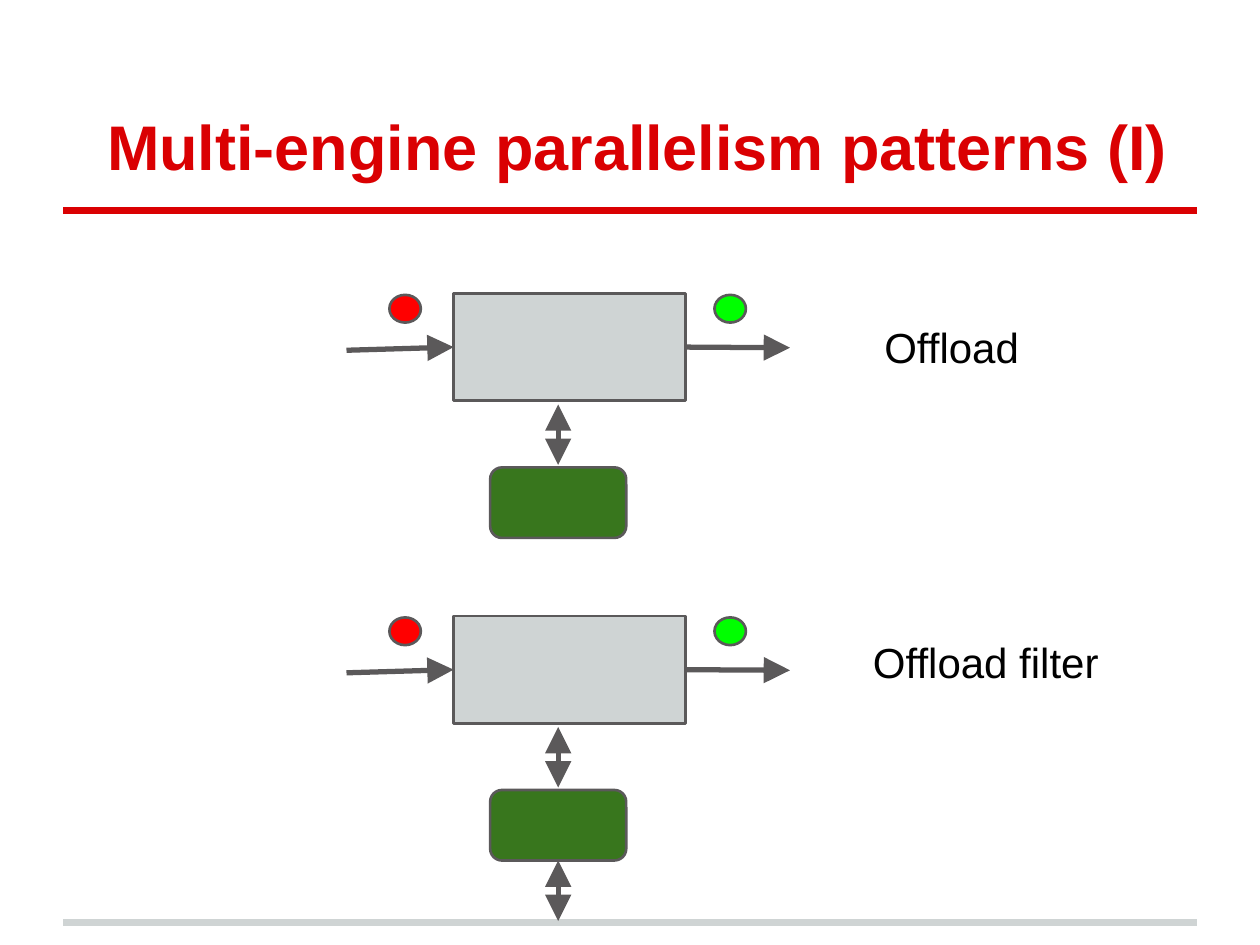
from lxml.etree import SubElement
from pptx import Presentation
from pptx.dml.color import RGBColor
from pptx.enum.shapes import MSO_CONNECTOR, MSO_SHAPE
from pptx.enum.text import MSO_ANCHOR, PP_ALIGN
from pptx.oxml.ns import qn
from pptx.util import Inches, Pt

COLORS = {
    "title": "DA0002",
    "engine": "CFD4D4",
    "outline": "5B595A",
    "input": "FF0000",
    "output": "00FF00",
    "accelerator": "38761D",
    "text": "000000",
}


def color(name):
    """Return the named palette colour."""
    return RGBColor.from_string(COLORS[name])


def format_text(paragraph, size, color_name, bold=False):
    """Format every run of a paragraph."""
    for run in paragraph.runs:
        run.font.name = "Arial"
        run.font.size = Pt(size)
        run.font.bold = bold
        run.font.color.rgb = color(color_name)


def add_block(slide, kind, left, top, width, height, fill):
    """Add an outlined shape with a flat fill."""
    shape = slide.shapes.add_shape(
        kind, Inches(left), Inches(top), Inches(width), Inches(height))
    shape.shadow.inherit = False
    shape.fill.solid()
    shape.fill.fore_color.rgb = color(fill)
    shape.line.color.rgb = color("outline")
    shape.line.width = Pt(1.5)
    return shape


def add_line(slide, start, end, color_name, width, arrowheads=()):
    """Add a straight line with large triangles at the chosen ends."""
    connector = slide.shapes.add_connector(
        MSO_CONNECTOR.STRAIGHT, *(Inches(value) for value in (*start, *end)))
    connector.line.color.rgb = color(color_name)
    connector.line.width = Pt(width)
    line = connector.line._get_or_add_ln()
    for arrowhead in arrowheads:
        SubElement(line, qn(f"a:{arrowhead}"), type="triangle", w="lg", len="lg")
    SubElement(connector._element.spPr, qn("a:effectLst"))
    return connector


def add_title(slide, left, top, width, height, text):
    """Place the title in its box."""
    title = slide.shapes.title
    title.left, title.top = Inches(left), Inches(top)
    title.width, title.height = Inches(width), Inches(height)
    frame = title.text_frame
    frame.text = text
    frame.word_wrap = True
    frame.vertical_anchor = MSO_ANCHOR.BOTTOM
    frame.margin_left = frame.margin_right = Inches(0.1)
    frame.margin_top = frame.margin_bottom = Inches(0.1)
    paragraph = frame.paragraphs[0]
    paragraph.alignment = PP_ALIGN.LEFT
    properties = paragraph._p.get_or_add_pPr()
    properties.set("marL", "0")
    properties.set("indent", str(Inches(0.25)))
    format_text(paragraph, 36, "title", bold=True)


def add_label(slide, left, top, text):
    """Add the name of a pattern."""
    label = slide.shapes.add_textbox(
        Inches(left), Inches(top), Inches(2.25), Inches(0.5))
    label.text_frame.word_wrap = True
    label.text_frame.text = text
    format_text(label.text_frame.paragraphs[0], 24, "text")


def add_pattern(slide, left, top, filtered=False):
    """Draw an engine with its accelerator, optionally with a further link below."""
    one_way, two_way = ("tailEnd",), ("headEnd", "tailEnd")
    middle = top + 0.43
    engine = add_block(
        slide, MSO_SHAPE.RECTANGLE, left + 0.85, top, 1.84, 0.85, "engine")
    inflow = add_line(slide, (left, top + 0.45), (left + 0.85, middle),
                      "outline", 3, one_way)
    inflow.end_connect(engine, 1)
    outflow = add_line(slide, (left + 2.69, middle), (left + 3.52, middle),
                       "outline", 3, one_way)
    outflow.begin_connect(engine, 3)
    for offset, fill in ((0.34, "input"), (2.92, "output")):
        add_block(slide, MSO_SHAPE.OVAL, left + offset, top + 0.01, 0.25, 0.22, fill)
    accelerator = add_block(slide, MSO_SHAPE.ROUNDED_RECTANGLE,
                            left + 1.14, top + 1.38, 1.08, 0.56, "accelerator")
    center = left + 1.68
    add_line(slide, (center, top + 0.88), (center, top + 1.36), "outline", 3, two_way)
    if filtered:
        link = add_line(slide, (center, top + 1.94), (center, top + 2.42),
                        "outline", 3, two_way)
        link.begin_connect(accelerator, 2)


def main():
    """Build and save the slide."""
    presentation = Presentation()
    presentation.slide_width, presentation.slide_height = Inches(10), Inches(7.5)
    slide = presentation.slides.add_slide(presentation.slide_layouts[5])
    for height, color_name in ((7.32, "engine"), (1.67, "title")):
        add_line(slide, (0.5, height), (9.5, height), color_name, 4)
    add_title(slide, 0.5, 0.74, 9, 0.81, "Multi-engine parallelism patterns (I)")
    add_pattern(slide, 2.75, 2.33)
    add_pattern(slide, 2.75, 4.89, filtered=True)
    add_label(slide, 6.92, 2.5, "Offload")
    add_label(slide, 6.83, 5, "Offload filter")
    presentation.save("out.pptx")


if __name__ == "__main__":
    main()
